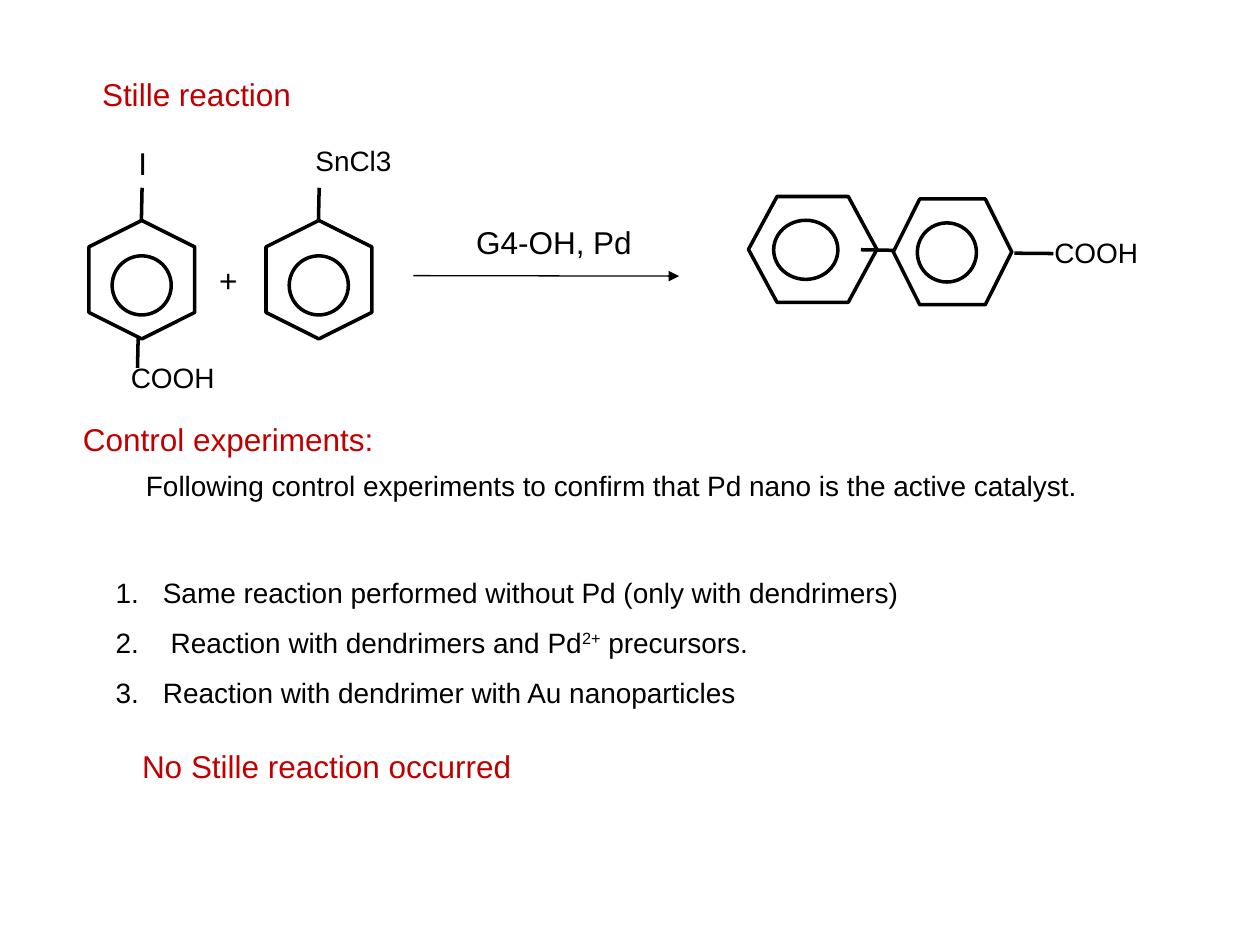
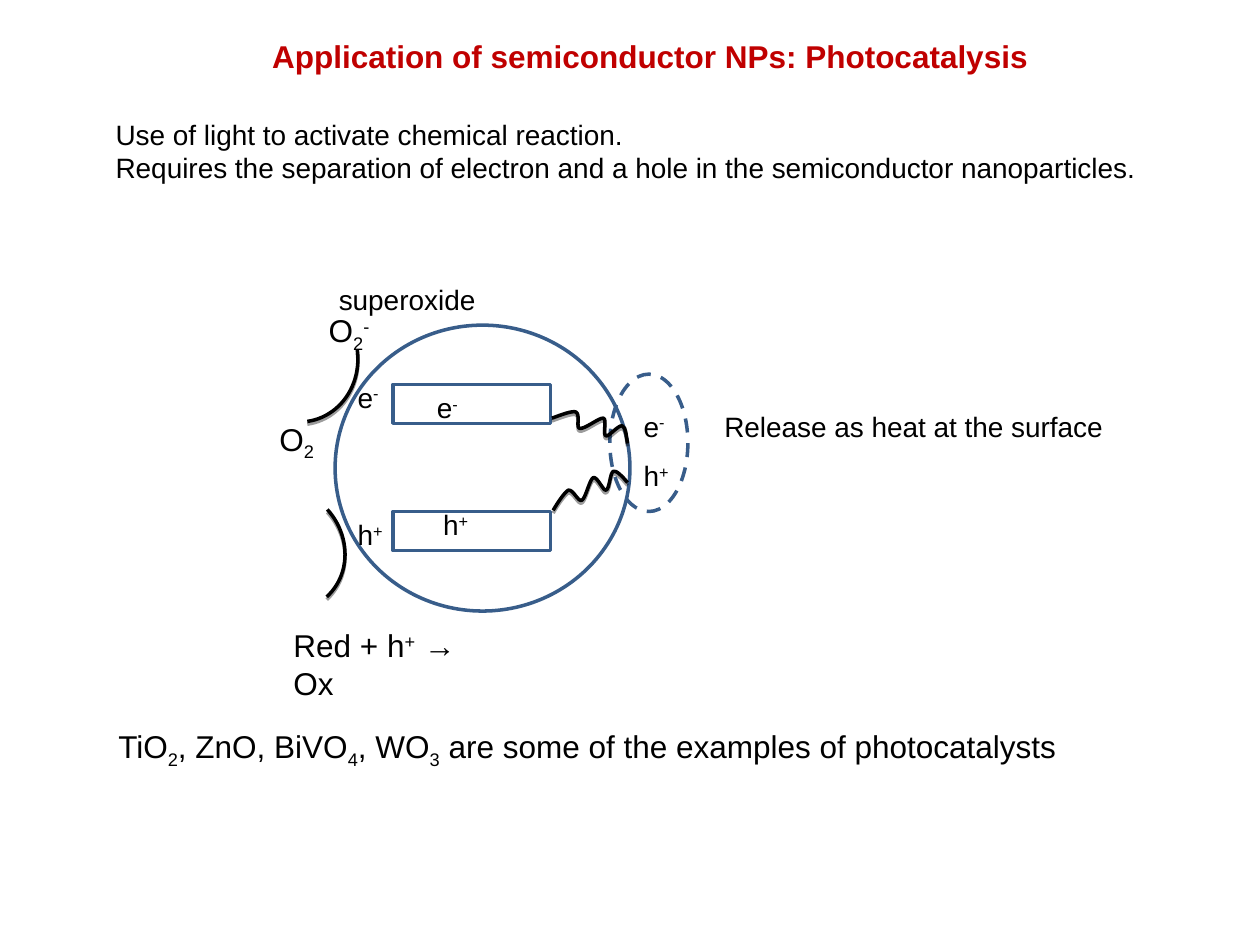
from lxml.etree import SubElement
from pptx import Presentation
from pptx.dml.color import RGBColor
from pptx.enum.dml import MSO_LINE_DASH_STYLE as Dash
from pptx.enum.shapes import MSO_CONNECTOR_TYPE as Connector, MSO_SHAPE as Shape
from pptx.enum.text import MSO_ANCHOR as Anchor, MSO_AUTO_SIZE as AutoSize, PP_ALIGN as Align
from pptx.oxml.ns import qn
from pptx.util import Pt

FONT = "Arial"
BLACK, WHITE, RED, BLUE = "000000", "FFFFFF", "C00000", "385D8A"
TITLE_ONLY = 5
BASELINES = {"^": "30000", "_": "-25000"}

ELECTRON_WAVE = [
    (165.4, 84), (171.1, 81.9), (176.9, 79.7), (179, 80.4), (181.9, 81.9), (179, 89.1),
    (181.2, 89.8), (184.1, 90.5), (192.7, 83.3), (194.9, 84), (197, 84.8), (194.2, 93.4),
    (196.3, 94.1), (197.8, 94.8), (203.5, 87.6), (205.7, 88.4), (207.8, 89.1),
    (207.8, 94.1), (208.6, 98.4)]
HOLE_WAVE = [
    (166.1, 136.6), (169, 131.6), (172.6, 126.5), (174.7, 125.1), (177.6, 124.4),
    (180.5, 132.3), (182.6, 130.8), (184.8, 129.4), (187, 118.6), (189.1, 117.9),
    (191.3, 117.2), (194.9, 125.8), (196.3, 125.1), (198.5, 124.4), (198.5, 115),
    (200.6, 114.3), (202.1, 113.6), (205.7, 117.2), (208.6, 120.8)]


def colour(value):
    """Turn a hex string into a colour."""
    return RGBColor.from_string(value)


def points(values):
    """Turn plain numbers into lengths in points."""
    return [Pt(value) for value in values]


def number(para):
    """Give a paragraph an automatic number and a hanging indent."""
    props = para._p.get_or_add_pPr()
    props.set("marL", str(Pt(27)))
    props.set("indent", str(-Pt(27)))
    SubElement(props, qn("a:buFont"), typeface=FONT)
    SubElement(props, qn("a:buAutoNum"), type="arabicPeriod")


def write(frame, text, size=16, ink=BLACK, bold=False, wrap=False, numbered=False, spacing=1):
    """Write lines into a frame; |^ and |_ parts are raised and lowered."""
    frame.word_wrap = wrap
    frame.auto_size = AutoSize.SHAPE_TO_FIT_TEXT
    frame.vertical_anchor = Anchor.TOP
    frame.margin_right = 0
    for index, line in enumerate(text.split("\n")):
        para = frame.add_paragraph() if index else frame.paragraphs[0]
        if numbered:
            number(para)
        para.alignment = Align.LEFT
        para.line_spacing = spacing
        for part in line.split("|"):
            span = para.add_run()
            span.text = part.lstrip("^_")
            if part[:1] in BASELINES:
                span._r.get_or_add_rPr().set("baseline", BASELINES[part[0]])
            span.font.name = FONT
            span.font.size = Pt(size)
            span.font.bold = bold
            span.font.color.rgb = colour(ink)


def add_text(page, text, box, **style):
    """Place a text box with formatted text."""
    write(page.shapes.add_textbox(*points(box)).text_frame, text, **style)


def add_page(deck, title, box, **style):
    """Add a slide and set its title."""
    page = deck.slides.add_slide(deck.slide_layouts[TITLE_ONLY])
    heading = page.shapes.title
    heading.left, heading.top, heading.width, heading.height = points(box)
    write(heading.text_frame, title, size=18, ink=RED, **style)
    return page


def draw_outline(shape, ink=BLACK, fill=None):
    """Give a shape a two-point line, an optional fill and no shadow."""
    shape.shadow.inherit = False
    shape.line.color.rgb = colour(ink)
    shape.line.width = Pt(2)
    if fill:
        shape.fill.solid()
        shape.fill.fore_color.rgb = colour(fill)
    else:
        shape.fill.background()


def add_outline(page, kind, box, turn=0, **style):
    """Place an outlined preset shape."""
    shape = page.shapes.add_shape(kind, *points(box))
    shape.rotation = turn
    draw_outline(shape, **style)
    return shape


def add_line(page, start, end, width=2, arrow=False):
    """Draw a straight line, with an arrowhead if asked."""
    line = page.shapes.add_connector(Connector.STRAIGHT, *points((*start, *end)))
    line.line.color.rgb = colour(BLACK)
    line.line.width = Pt(width)
    if arrow:
        SubElement(line.line._get_or_add_ln(), qn("a:tailEnd"), type="triangle")
    SubElement(line._element.spPr, qn("a:effectLst"))


def cast_shadow(shape):
    """Give a shape a sharp, translucent shadow just below it."""
    effects = shape._element.spPr.find(qn("a:effectLst"))
    shadow = SubElement(effects, qn("a:outerShdw"), dist=str(Pt(1.6)), dir="5400000",
                        algn="ctr", rotWithShape="0")
    ink = SubElement(shadow, qn("a:srgbClr"), val=BLACK)
    SubElement(ink, qn("a:alpha"), val="38000")


def add_wave(page, left, top, knots):
    """Draw an open curve whose knots go in threes after the first."""
    route = [(Pt(left + x), Pt(top + y)) for x, y in knots]
    builder = page.shapes.build_freeform(*route[0])
    builder.add_line_segments(route[1:], close=False)
    wave = builder.convert_to_shape()
    outline = next(wave._element.iter(qn("a:path")))
    lines = outline.findall(qn("a:lnTo"))
    for start in range(0, len(lines), 3):
        cubic = SubElement(outline, qn("a:cubicBezTo"))
        for line in lines[start:start + 3]:
            cubic.append(line[0])
            outline.remove(line)
    draw_outline(wave)
    cast_shadow(wave)


def add_benzene(page, box, circle, turn=0, slant=0.25):
    """Draw a benzene ring: a hexagon around a circle."""
    hexagon = add_outline(page, Shape.HEXAGON, box, turn=turn, fill=WHITE)
    hexagon.adjustments[0] = slant
    add_outline(page, Shape.OVAL, circle, fill=WHITE)


def add_reactant(page, middle, top, label, width, size):
    """Draw an upright ring whose bond leads up to a label."""
    add_benzene(page, (middle - 33.85, top + 51.1, 67.7, 60.5),
                (middle - 16.9, top + 67.7, 33.8, 33.8), turn=90)
    add_line(page, (middle + 0.2, top + 28.8), (middle - 0.2, top + 47.5))
    add_text(page, label, (middle - 9, top, width, 28), size=size)


def add_product(page, left, top):
    """Draw the two joined rings with their acid group."""
    add_benzene(page, (left, top, 73.4, 60.5), (left + 14.4, top + 13.6, 36.7, 33.8), slant=0.27)
    add_line(page, (left + 64.2, top + 30.4), (left + 84.8, top + 30.8))
    add_benzene(page, (left + 82.8, top + 1.4, 67.7, 60.5), (left + 96.5, top + 15.1, 33.8, 33.8))
    add_text(page, "COOH", (left + 167.7, top + 18.7, 62, 26.6))
    add_line(page, (left + 152, top + 32.4), (left + 174.2, top + 32.6))


def add_equation(page, left, top):
    """Lay out the coupling reaction from reactants to product."""
    add_line(page, (left + 31.5, top + 113), (left + 31.1, top + 131.7))
    add_reactant(page, left + 33.5, top, "Ι", 20.2, 18)
    add_text(page, "COOH", (left + 20.2, top + 123.8, 62, 26.6))
    add_text(page, "+", (left + 70.6, top + 66.9, 24.5, 28.8), size=18)
    add_reactant(page, left + 134.7, top, "SnCl3", 57.6, 16)
    add_line(page, (left + 188.7, top + 79), (left + 340.6, top + 79.3), width=0.75, arrow=True)
    add_text(page, "G4-OH, Pd", (left + 217.5, top + 45.3, 108, 28.8), size=18)
    add_product(page, left + 380.2, top + 33.8)


def add_controls(page, left, top):
    """Write the control experiments and their outcome."""
    add_text(page, "Control experiments:", (left, top, 180, 28.8), size=18, ink=RED)
    add_text(page, "Following control experiments to confirm that Pd nano is the active catalyst.",
             (left + 36, top + 28.1, 550.8, 26.6))
    add_text(page, "Same reaction performed without Pd (only with dendrimers)\n"
             " Reaction with dendrimers and Pd|^2+| precursors.\n"
             "Reaction with dendrimer with Au nanoparticles",
             (left + 18.7, top + 79.2, 461.5, 93.6), numbered=True, spacing=1.5)
    add_text(page, "No Stille reaction occurred", (left + 33.8, top + 187.2, 230.4, 28.8),
             size=18, ink=RED)


def add_particle(page, left, top):
    """Draw the light-activated particle with its charges and reactions."""
    add_outline(page, Shape.OVAL, (left + 41.5, top + 30.8, 168.5, 163.4), ink=BLUE)
    for band_top in (64.6, 137.3):
        add_outline(page, Shape.RECTANGLE, (left + 74.6, top + band_top, 90, 22.3), ink=BLUE)
    surface = add_outline(page, Shape.OVAL, (left + 198.5, top + 58.8, 44.6, 78.5), ink=BLUE)
    surface.line.dash_style = Dash.DASH
    for knots in (ELECTRON_WAVE, HOLE_WAVE):
        add_wave(page, left, top, knots)
    for x, y, turn in ((-16.1, 15.6, 82.2), (-24.7, 125.1, 47.7)):
        cast_shadow(add_outline(page, Shape.ARC, (left + x, top + y, 73.4, 67.7), turn=turn))
    for x, y in ((92.6, 64.6), (210.7, 75.4), (47.3, 58.8)):
        add_text(page, "e|^-", (left + x, top + y, 26, 26.6))
    for x, y in ((96.2, 131.6), (210.7, 103.5), (47.3, 137.3)):
        add_text(page, "h|^+", (left + x, top + y, 28.8, 26.6))
    add_text(page, "Release as heat at the surface", (left + 256.8, top + 75.4, 230.4, 26.6))
    add_text(page, "superoxide", (left + 36.5, top + 2.7, 92.2, 26.6))
    add_text(page, "O|_2", (left + 2.6, top + 81.2, 33.8, 31.7), size=18)
    add_text(page, "O|_2|^-", (left + 30.7, top + 19.2, 37.4, 31.7), size=18)
    add_text(page, "Red + h|^+| → Ox", (left + 10.6, top + 199.2, 120, 50), size=18, wrap=True)


def build_stille(deck):
    """Build the slide on the Stille reaction."""
    page = add_page(deck, "Stille reaction", (51.1, 39.3, 122.4, 28.8))
    add_equation(page, 47.5, 78.5)
    add_controls(page, 40.3, 236.3)


def build_photocatalysis(deck):
    """Build the slide on photocatalysis."""
    page = add_page(deck, "Application of semiconductor NPs: Photocatalysis",
                    (148.3, 17.7, 446.4, 28.8), bold=True)
    add_text(page, "Use of light to activate chemical reaction.\nRequires the separation of "
             "electron and a hole in the semiconductor nanoparticles.", (59, 63.4, 601.9, 46))
    add_particle(page, 150, 155)
    add_text(page, "TiO|_2|, ZnO, BiVO|_4|, WO|_3| are some of the examples of photocatalysts",
             (60.5, 411.8, 550.8, 31.7), size=18)


def main():
    """Build and save the deck."""
    deck = Presentation()
    deck.slide_width, deck.slide_height = Pt(720), Pt(540)
    build_stille(deck)
    build_photocatalysis(deck)
    deck.save("out.pptx")


if __name__ == "__main__":
    main()
